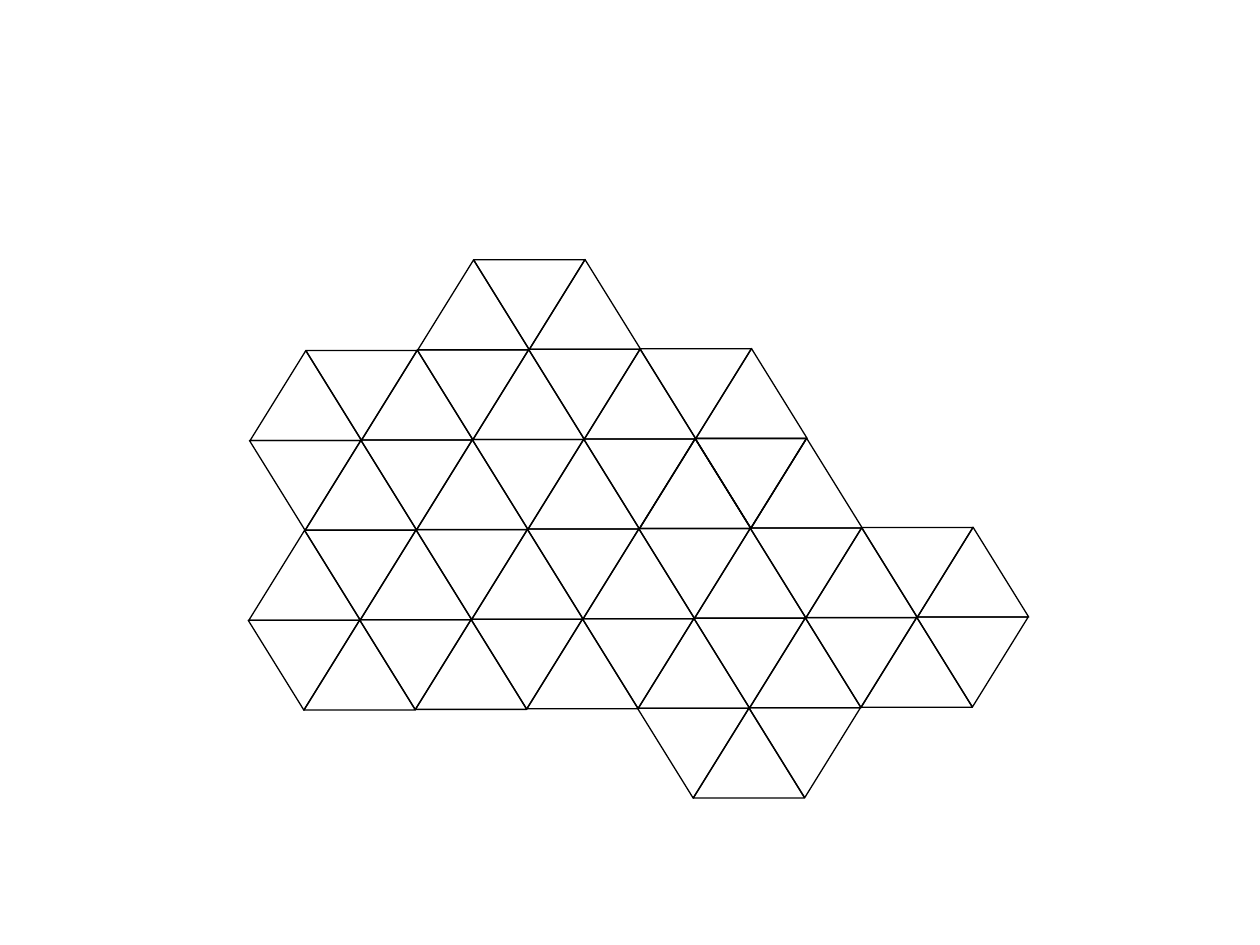
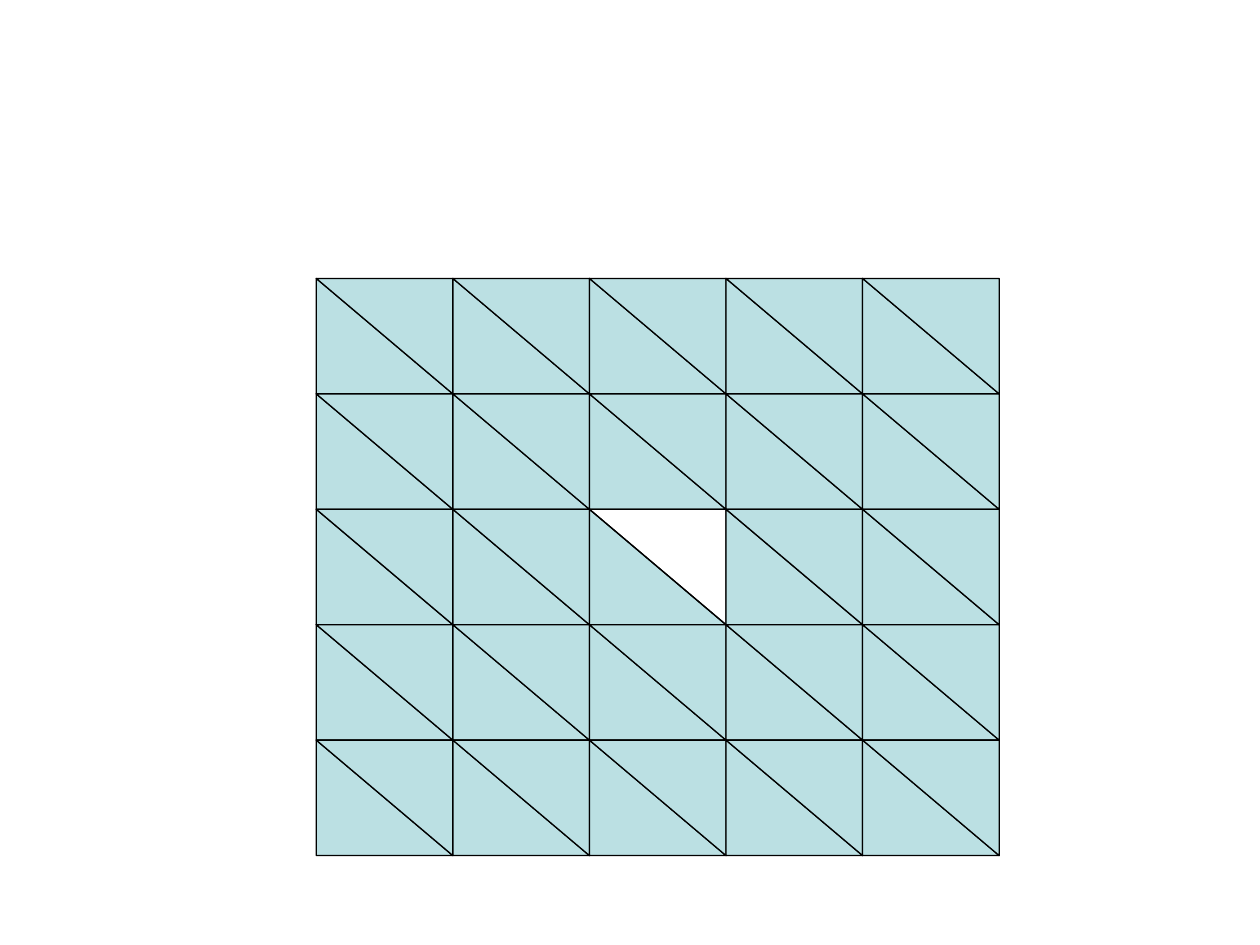
from pptx import Presentation
from pptx.dml.color import RGBColor
from pptx.enum.shapes import MSO_SHAPE
from pptx.util import Inches, Pt

TRIANGLE = MSO_SHAPE.ISOSCELES_TRIANGLE
RIGHT_TRIANGLE = MSO_SHAPE.RIGHT_TRIANGLE
BLANK_LAYOUT = 6
SLIDE_W, SLIDE_H = 10, 7.5
LINE, PALE_TEAL = "000000", "BBE0E3"

LATTICE_BOX = (1.99, 2.07, 6.19, 4.28)
LATTICE_COLS, LATTICE_ROWS = 14, 6
LEAN_X, LEAN_Y = -0.03, -0.03
PATCHES = [
    {0: (3, 5), 1: (0, 8), 2: (0, 8), 3: (3, 3)},
    {2: (7, 9), 3: (4, 12), 4: (4, 12), 5: (7, 9)},
    {3: (0, 2), 4: (0, 2)},
]
LOOSE_TILE = (4, 3)

GRID_BOX = (2.51, 2.21, 5.42, 4.58)
GRID_SIZE = 5
EMPTY_CELL = (2, 2)


def rgb(color):
    """Turn a hex string into a colour."""
    return RGBColor.from_string(color)


def add_tile(shapes, kind, box, turned, fill=None):
    """Add one outlined triangle, optionally filled and turned upside down."""
    s = shapes.add_shape(kind, *map(Inches, box))
    s.shadow.inherit = False
    s.rotation = 180 if turned else 0
    s.line.color.rgb = rgb(LINE)
    s.line.width = Pt(0.75)
    if fill:
        s.fill.solid()
        s.fill.fore_color.rgb = rgb(fill)
    else:
        s.fill.background()


def add_lattice_tile(shapes, box, row, col):
    """Place a triangle in a lattice whose columns are half a triangle wide."""
    left, top, width, height = box
    step, pitch = width / LATTICE_COLS, height / LATTICE_ROWS
    x = left + col * step + LEAN_X * row / LATTICE_ROWS
    y = top + row * pitch + LEAN_Y * col / LATTICE_COLS
    add_tile(shapes, TRIANGLE, (x, y, 2 * step, pitch), (row + col) % 2 == 0)


def add_lattice(slide, box):
    """Build the grouped patches of triangles and the tile that joins them."""
    for patch in PATCHES:
        group = slide.shapes.add_group_shape()
        for row, (first, last) in patch.items():
            for col in range(first, last + 1):
                add_lattice_tile(group.shapes, box, row, col)
    add_lattice_tile(slide.shapes, box, *LOOSE_TILE)


def add_split_grid(slide, box):
    """Build a grid of cells, each split into two right triangles."""
    left, top, width, height = box
    w, h = width / GRID_SIZE, height / GRID_SIZE
    for row in range(GRID_SIZE):
        for col in range(GRID_SIZE):
            cell = (left + col * w, top + row * h, w, h)
            upper_fill = None if (row, col) == EMPTY_CELL else PALE_TEAL
            add_tile(slide.shapes, RIGHT_TRIANGLE, cell, False, PALE_TEAL)
            add_tile(slide.shapes, RIGHT_TRIANGLE, cell, True, upper_fill)


def main():
    """Build both tessellation slides and save them."""
    prs = Presentation()
    prs.slide_width, prs.slide_height = Inches(SLIDE_W), Inches(SLIDE_H)
    for build, box in ((add_lattice, LATTICE_BOX), (add_split_grid, GRID_BOX)):
        build(prs.slides.add_slide(prs.slide_layouts[BLANK_LAYOUT]), box)
    prs.save("out.pptx")


if __name__ == "__main__":
    main()
